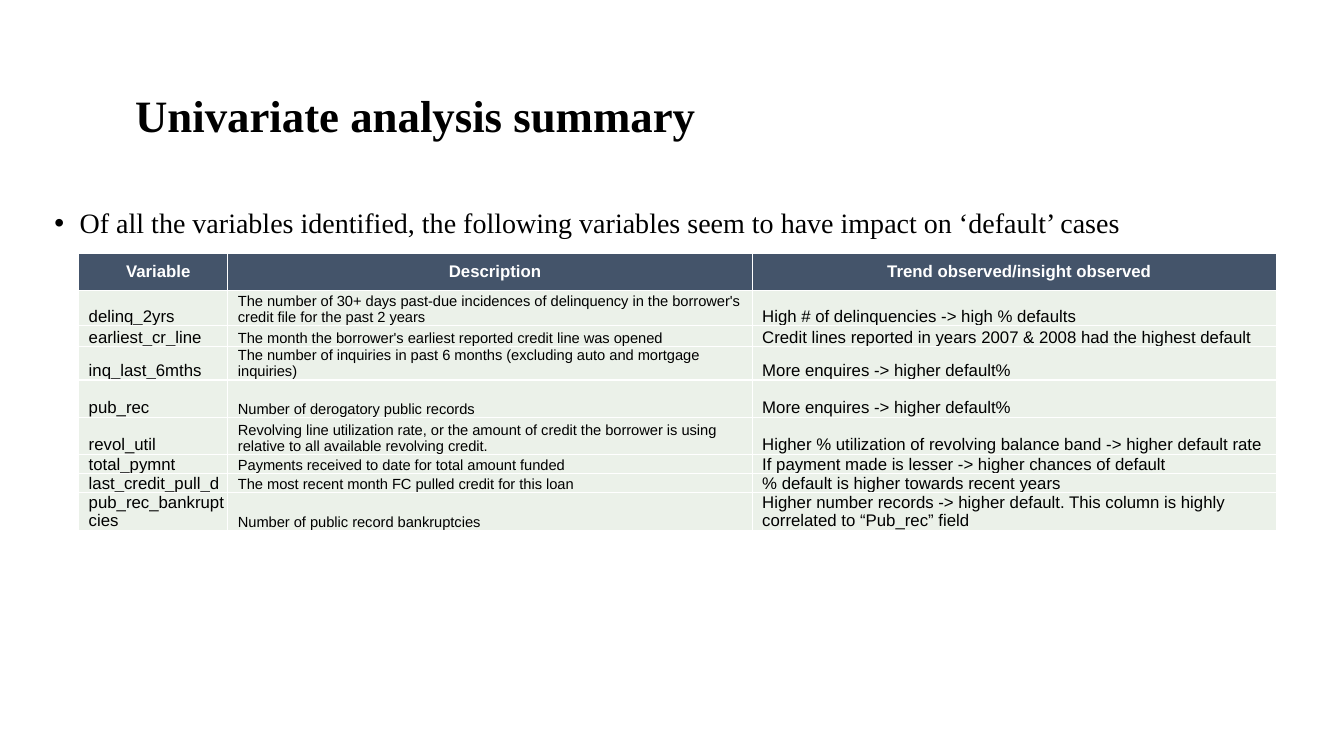
from lxml import etree
from pptx import Presentation
from pptx.dml.color import RGBColor
from pptx.enum.text import MSO_ANCHOR as Anchor, MSO_AUTO_SIZE as AutoSize, PP_ALIGN as Align
from pptx.oxml import parse_xml
from pptx.oxml.ns import nsdecls, qn
from pptx.util import Inches, Pt

BLACK, WHITE, NAVY, MINT = "000000", "FFFFFF", "44546A", "EBF1E9"
SERIF, SANS = "Times New Roman", "Arial"
COLUMN_WIDTHS = (1.48, 5.2, 5.2)
COLUMN_SIZES = (12, 10.5, 12)
HEADINGS = ("Variable", "Description", "Trend observed/insight observed")
VARIABLES = (
    (0.35, "delinq_2yrs",
     "The number of 30+ days past-due incidences of delinquency in the borrower's "
     "credit file for the past 2 years",
     "High # of delinquencies -> high % defaults"),
    (0.21, "earliest_cr_line",
     "The month the borrower's earliest reported credit line was opened",
     "Credit lines reported in years 2007 & 2008 had the highest default"),
    (0.33, "inq_last_6mths",
     "The number of inquiries in past 6 months (excluding auto and mortgage inquiries)",
     "More enquires -> higher default%"),
    (0.37, "pub_rec", "Number of derogatory public records",
     "More enquires -> higher default%"),
    (0.37, "revol_util",
     "Revolving line utilization rate, or the amount of credit the borrower is using "
     "relative to all available revolving credit.",
     "Higher % utilization of revolving balance band -> higher default rate"),
    (0.19, "total_pymnt", "Payments received to date for total amount funded",
     "If payment made is lesser -> higher chances of default"),
    (0.19, "last_credit_pull_d", "The most recent month FC pulled credit for this loan",
     "% default is higher towards recent years"),
    (0.37, "pub_rec_bankruptcies", "Number of public record bankruptcies",
     "Higher number records -> higher default. This column is highly correlated to "
     "“Pub_rec” field"),
)


def color(value):
    """Turn a hex string into a colour."""
    return RGBColor.from_string(value)


def add_span(para, text, size, font, ink, bold=False):
    """Add one formatted run to a paragraph."""
    span = para.add_run()
    span.text = text
    span.font.size = Pt(size)
    span.font.name = font
    span.font.bold = bold
    span.font.color.rgb = color(ink)


def place(holder, box, anchor):
    """Move a placeholder into its box and return its first paragraph."""
    holder.left, holder.top, holder.width, holder.height = map(Inches, box)
    frame = holder.text_frame
    frame.auto_size = AutoSize.NONE
    frame.word_wrap = True
    frame.vertical_anchor = anchor
    para = frame.paragraphs[0]
    para.alignment = Align.LEFT
    para.line_spacing = 0.9
    return para


def fill_title(page, box):
    """Write the slide title."""
    para = place(page.shapes.title, box, Anchor.MIDDLE)
    add_span(para, "Univariate analysis summary", 32, SERIF, BLACK, True)


def fill_body(page, box):
    """Write the bulleted lead sentence."""
    para = place(page.placeholders[1], box, Anchor.TOP)
    para.space_before = Pt(10)
    add_span(para, "Of all the variables identified, the following variables seem to have "
             "impact on ‘default’ cases", 20, SERIF, BLACK)
    props = para._p.get_or_add_pPr()
    props.set("marL", str(Inches(0.25)))
    props.set("indent", str(Inches(-0.25)))
    etree.SubElement(props, qn("a:buFont"), typeface=SANS)
    etree.SubElement(props, qn("a:buChar"), char="•")


def add_borders(cell):
    """Draw thin white lines on all sides of a cell."""
    props = cell._tc.get_or_add_tcPr()
    for side in "LRTB":
        props.append(parse_xml(
            f'<a:ln{side} {nsdecls("a")} w="{Pt(1)}"><a:solidFill>'
            f'<a:srgbClr val="{WHITE}"/></a:solidFill></a:ln{side}>'))


def fill_cell(cell, text, size, heading):
    """Format and write one table cell."""
    cell.margin_left = Inches(0.1)
    cell.margin_right = cell.margin_top = cell.margin_bottom = 0
    cell.vertical_anchor = Anchor.MIDDLE if heading else Anchor.BOTTOM
    add_borders(cell)
    cell.fill.solid()
    cell.fill.fore_color.rgb = color(NAVY if heading else MINT)
    para = cell.text_frame.paragraphs[0]
    para.alignment = Align.CENTER if heading else Align.LEFT
    add_span(para, text, size, SANS, WHITE if heading else BLACK, heading)


def add_variable_table(page, left, top):
    """Build the table of variables from its top left corner."""
    rows = ((0.37, *HEADINGS), *VARIABLES)
    width, height = sum(COLUMN_WIDTHS), sum(row[0] for row in rows)
    table = page.shapes.add_table(len(rows), len(COLUMN_WIDTHS), Inches(left), Inches(top),
                                  Inches(width), Inches(height)).table
    table.horz_banding = False
    for column, column_width in zip(table.columns, COLUMN_WIDTHS):
        column.width = Inches(column_width)
    for index, (row_height, *texts) in enumerate(rows):
        table.rows[index].height = Inches(row_height)
        for column, (text, size) in enumerate(zip(texts, COLUMN_SIZES)):
            heading = index == 0
            fill_cell(table.cell(index, column), text, 12 if heading else size, heading)


def main():
    """Build and save the deck."""
    deck = Presentation()
    deck.slide_width, deck.slide_height = Inches(13.33), Inches(7.5)
    page = deck.slides.add_slide(deck.slide_layouts[1])
    fill_title(page, (1.24, 0.7, 10.19, 0.94))
    fill_body(page, (0.44, 2.03, 12.21, 4.75))
    add_variable_table(page, 0.78, 2.51)
    deck.save("out.pptx")


if __name__ == "__main__":
    main()
